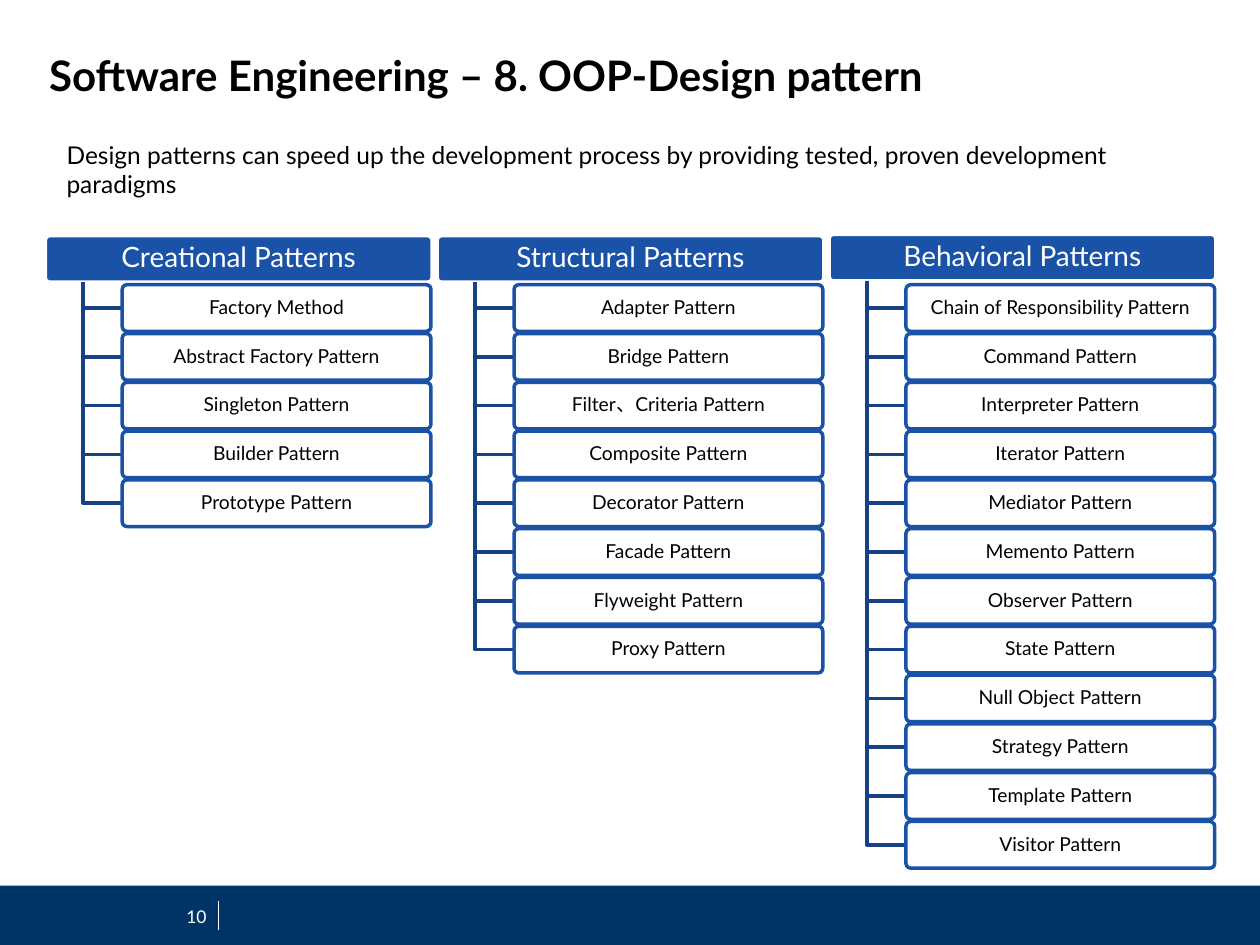
from dataclasses import dataclass

from lxml.etree import SubElement
from pptx import Presentation
from pptx.dml.color import RGBColor
from pptx.enum.shapes import MSO_CONNECTOR, MSO_SHAPE
from pptx.enum.text import MSO_ANCHOR, MSO_AUTO_SIZE, PP_ALIGN
from pptx.oxml.ns import qn
from pptx.shapes.autoshape import Shape
from pptx.slide import Slide
from pptx.text.text import TextFrame
from pptx.util import Inches, Pt

NAVY = RGBColor(0x00, 0x33, 0x66)
BLUE = RGBColor(0x19, 0x52, 0xA6)
DARK_BLUE = RGBColor(0x14, 0x42, 0x85)
WHITE = RGBColor(0xFF, 0xFF, 0xFF)
BLACK = RGBColor(0x00, 0x00, 0x00)
FONT = "Lato"

COLUMN_LEFT, COLUMN_PITCH = 0.36, 3.11
HEADER_W, BOX_W, BOX_H = 3.07, 2.45, 0.37
INDENT = 0.31
FIRST_TOP, LAST_TOP, MAX_ROWS = 2.26, 6.52, 12
ROW_PITCH = (LAST_TOP - FIRST_TOP) / (MAX_ROWS - 1)


@dataclass
class Family:
    name: str
    top: float
    patterns: list[str]


FAMILIES = [
    Family("Creational Patterns", 1.87, [
        "Factory Method", "Abstract Factory Pattern", "Singleton Pattern",
        "Builder Pattern", "Prototype Pattern"]),
    Family("Structural Patterns", 1.87, [
        "Adapter Pattern", "Bridge Pattern", "Filter、Criteria Pattern",
        "Composite Pattern", "Decorator Pattern", "Facade Pattern",
        "Flyweight Pattern", "Proxy Pattern"]),
    Family("Behavioral Patterns", 1.86, [
        "Chain of Responsibility Pattern", "Command Pattern",
        "Interpreter Pattern", "Iterator Pattern", "Mediator Pattern",
        "Memento Pattern", "Observer Pattern", "State Pattern",
        "Null Object Pattern", "Strategy Pattern", "Template Pattern",
        "Visitor Pattern"]),
]


def set_text(tf: TextFrame, text: str, size: float, color: RGBColor,
             align: PP_ALIGN = PP_ALIGN.LEFT,
             anchor: MSO_ANCHOR = MSO_ANCHOR.MIDDLE,
             inset: float = 0, bold: bool = False) -> None:
    tf.text = text
    tf.word_wrap = True
    tf.auto_size = MSO_AUTO_SIZE.NONE
    tf.vertical_anchor = anchor
    tf.margin_left = tf.margin_right = Inches(inset)
    tf.margin_top = tf.margin_bottom = Inches(inset)
    p = tf.paragraphs[0]
    p.alignment = align
    font = p.runs[0].font
    font.name, font.size, font.bold = FONT, Pt(size), bold
    font.color.rgb = color


def add_box(s: Slide, x: float, y: float, w: float, text: str, size: float,
            fill: RGBColor, line: RGBColor, color: RGBColor) -> Shape:
    sp = s.shapes.add_shape(MSO_SHAPE.ROUNDED_RECTANGLE, Inches(x), Inches(y),
                            Inches(w), Inches(BOX_H))
    sp.adjustments[0] = 0.1
    sp.shadow.inherit = False
    sp.fill.solid()
    sp.fill.fore_color.rgb = fill
    sp.line.color.rgb = line
    sp.line.width = Pt(2)
    set_text(sp.text_frame, text, size, color, PP_ALIGN.CENTER, inset=0.02)
    sp.text_frame.paragraphs[0].line_spacing = 0.9
    return sp


def add_elbow(s: Slide, x: float, top: float, bottom: float) -> None:
    """Draw the branch from a header down and right to a pattern box."""
    builder = s.shapes.build_freeform(Inches(x), Inches(top))
    builder.add_line_segments([(Inches(x), Inches(bottom)),
                               (Inches(x + INDENT), Inches(bottom))],
                              close=False)
    sp = builder.convert_to_shape()
    sp.shadow.inherit = False
    sp.fill.background()
    sp.line.color.rgb = DARK_BLUE
    sp.line.width = Pt(2)


def add_family(s: Slide, x: float, family: Family) -> None:
    add_box(s, x, family.top, HEADER_W, family.name, 16, BLUE, WHITE, WHITE)
    spine = x + INDENT - 0.01
    for i, pattern in enumerate(family.patterns):
        y = FIRST_TOP + i * ROW_PITCH
        add_elbow(s, spine, family.top + BOX_H, y + BOX_H / 2)
        add_box(s, spine + INDENT, y, BOX_W, pattern, 11, WHITE, BLUE, BLACK)


def add_footer(s: Slide) -> None:
    band = s.shapes.add_shape(MSO_SHAPE.RECTANGLE, 0, Inches(7.03),
                              Inches(10), Inches(0.47))
    band.shadow.inherit = False
    band.fill.solid()
    band.fill.fore_color.rgb = NAVY
    band.line.fill.background()

    rule = s.shapes.add_connector(MSO_CONNECTOR.STRAIGHT, Inches(1.73),
                                  Inches(7.15), Inches(1.73), Inches(7.38))
    rule.line.color.rgb = WHITE
    rule.line.width = Pt(0.25)
    SubElement(rule._element.spPr, qn("a:effectLst"))

    number = s.shapes.add_textbox(Inches(1.37), Inches(7.16),
                                  Inches(0.27), Inches(0.22))
    set_text(number.text_frame, "10", 10, WHITE, PP_ALIGN.RIGHT)


def main() -> None:
    prs = Presentation()
    prs.slide_width, prs.slide_height = Inches(10), Inches(7.5)
    s = prs.slides.add_slide(prs.slide_layouts[5])
    add_footer(s)

    title = s.shapes.title
    title.left, title.top = Inches(0.39), Inches(0.39)
    title.width, title.height = Inches(9.21), Inches(0.59)
    set_text(title.text_frame, "Software Engineering – 8. OOP-Design pattern",
             24, BLACK, anchor=MSO_ANCHOR.TOP, bold=True)

    for i, family in enumerate(FAMILIES):
        add_family(s, COLUMN_LEFT + i * COLUMN_PITCH, family)

    intro = s.shapes.add_textbox(Inches(0.43), Inches(1.06),
                                 Inches(8.9), Inches(0.57))
    set_text(intro.text_frame,
             "Design patterns can speed up the development process by "
             "providing tested, proven development paradigms",
             14, BLACK, inset=0.1)
    prs.save("out.pptx")


if __name__ == "__main__":
    main()
